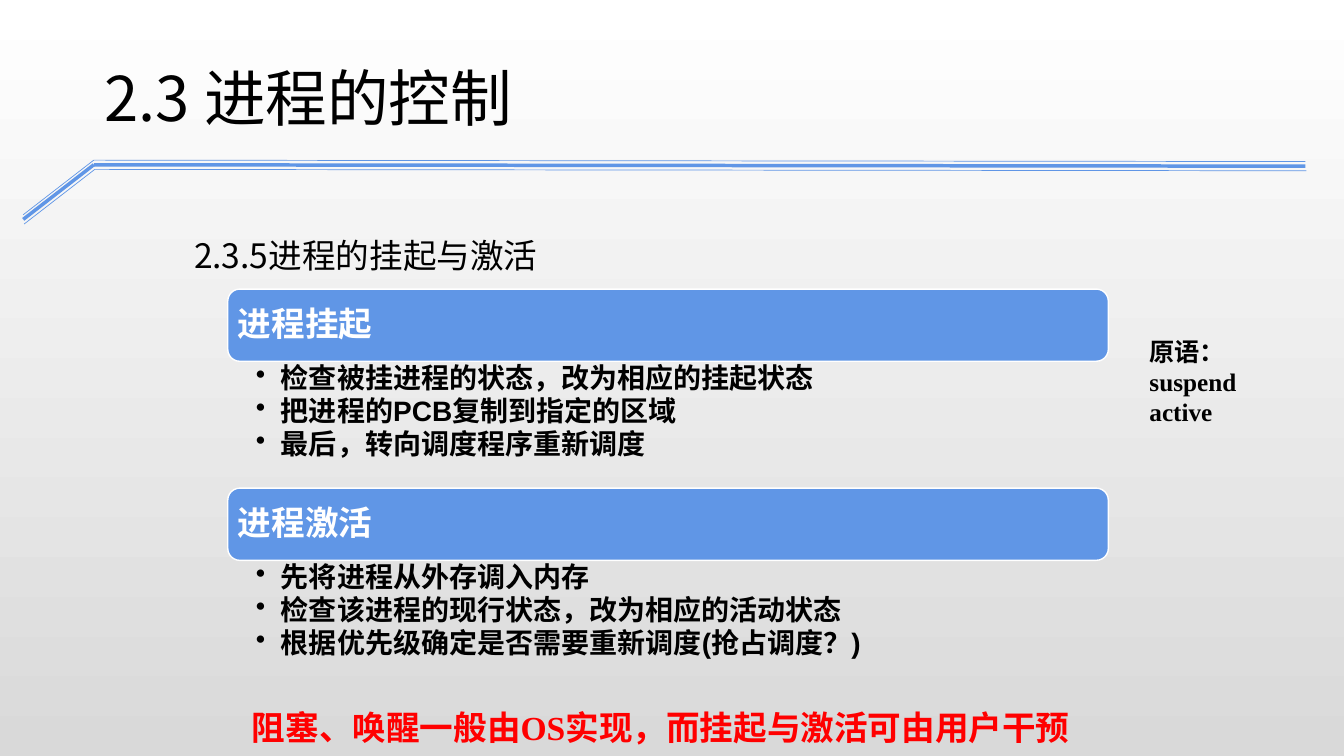
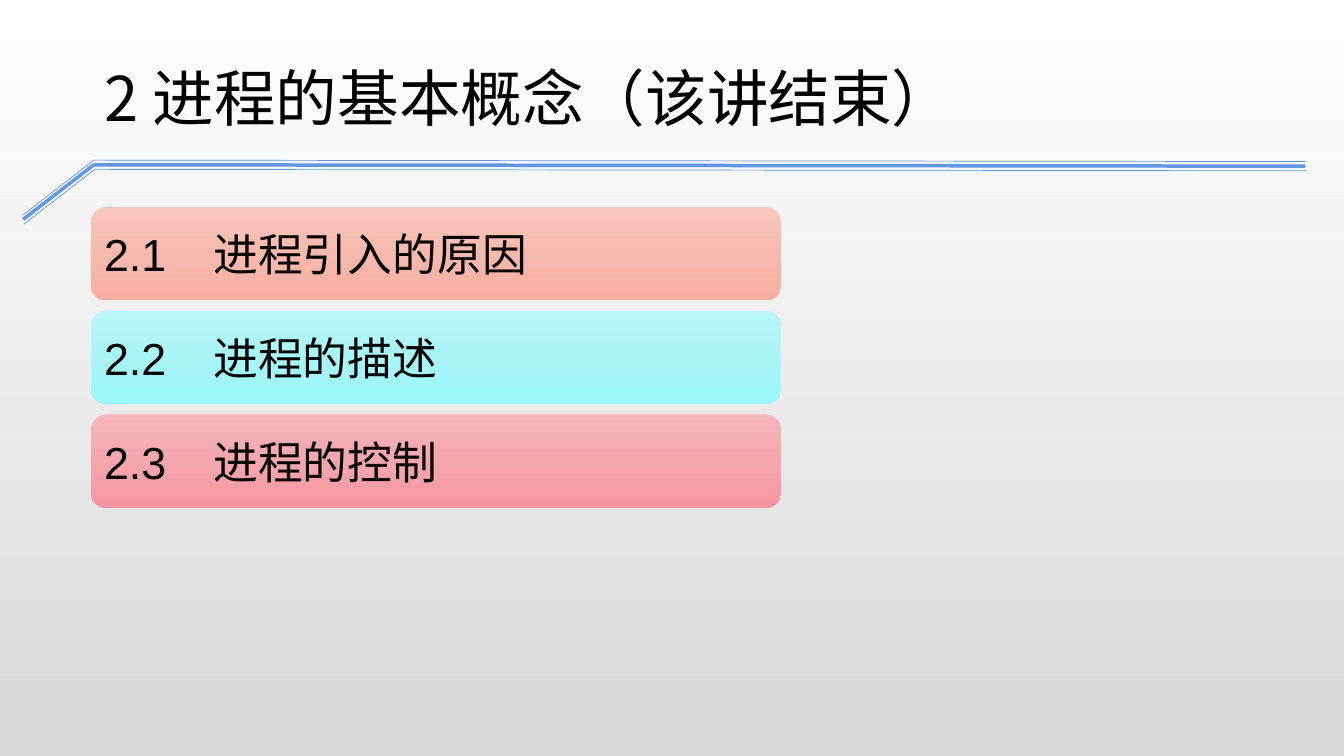
from copy import deepcopy
from dataclasses import dataclass

from lxml.etree import SubElement
from pptx import Presentation
from pptx.dml.color import RGBColor
from pptx.enum.shapes import MSO_CONNECTOR, MSO_SHAPE
from pptx.enum.text import MSO_ANCHOR
from pptx.oxml.ns import qn
from pptx.util import Pt

COLORS = {
    "blue": "6096E6",
    "white": "FFFFFF",
    "gray": "D9D9D9",
    "black": "000000",
    "red": "FF0000",
}
CJK = "Noto Sans CJK JP"
SANS = "Arial"
SERIF = "Times New Roman"


@dataclass
class Rail:
    left: float
    drop: float
    width: float


@dataclass
class Block:
    head: str
    items: list[str]


@dataclass
class Topic:
    label: str
    shades: tuple[str, str, str]


RAILS = [Rail(16.6, 0, 0.5), Rail(16.6, 3.3, 2.5), Rail(17.3, 6.6, 0.5)]
BLOCKS = [
    Block("进程挂起", [
        "检查被挂进程的状态，改为相应的挂起状态",
        "把进程的PCB复制到指定的区域",
        "最后，转向调度程序重新调度",
    ]),
    Block("进程激活", [
        "先将进程从外存调入内存",
        "检查该进程的现行状态，改为相应的活动状态",
        "根据优先级确定是否需要重新调度(抢占调度？)",
    ]),
]
TOPICS = [
    Topic("2.1\t进程引入的原因", ("F9C7BD", "F7B9AE", "F9AEA0")),
    Topic("2.2\t进程的描述", ("B9F7F8", "A9F4F6", "9AF5F8")),
    Topic("2.3\t进程的控制", ("F7B5BC", "F4A6AF", "F696A1")),
]


def paint(name: str) -> RGBColor:
    return RGBColor.from_string(COLORS.get(name, name))


def shade(fill, root, *hues: str) -> None:
    fill.gradient()
    fill.gradient_angle = 270
    stops = root.xpath(".//a:gsLst")[0]
    for _ in hues[2:]:
        stops.append(deepcopy(stops[0]))
    for rank, (stop, hue) in enumerate(zip(fill.gradient_stops, hues)):
        stop.color.rgb = paint(hue)
        stop.position = rank / (len(hues) - 1)


def write(frame, *lines: str, size: float, font: str = SANS, color: str = "black",
          bold: bool = False, space: float | Pt = 1.0, after: float = 0,
          inset: tuple[float, float] = (7.2, 3.6), anchor=MSO_ANCHOR.TOP,
          bullet: float = 0, tab: float = 0) -> None:
    frame.word_wrap = True
    frame.vertical_anchor = anchor
    frame.margin_left = frame.margin_right = Pt(inset[0])
    frame.margin_top = frame.margin_bottom = Pt(inset[1])
    for rank, line in enumerate(lines):
        para = frame.add_paragraph() if rank else frame.paragraphs[0]
        props = para._p.get_or_add_pPr()
        props.set("algn", "l")
        if bullet:
            props.set("marL", str(Pt(bullet)))
            props.set("indent", str(-Pt(bullet)))
            SubElement(props, qn("a:buChar")).set("char", "•")
        if tab:
            stop = SubElement(SubElement(props, qn("a:tabLst")), qn("a:tab"))
            stop.set("pos", str(Pt(tab)))
            stop.set("algn", "l")
        para.line_spacing = space
        para.space_after = Pt(after)
        run = para.add_run()
        run.text = line
        run.font.size = Pt(size)
        run.font.name = font
        run.font.bold = bold
        run.font.color.rgb = paint(color)
        SubElement(run._r.get_or_add_rPr(), qn("a:ea")).set("typeface", CJK)


def add_text(slide, left: float, top: float, width: float, height: float,
             *lines: str, **style) -> None:
    box = slide.shapes.add_textbox(Pt(left), Pt(top), Pt(width), Pt(height))
    write(box.text_frame, *lines, **style)


def add_bar(slide, left: float, top: float, width: float, height: float):
    bar = slide.shapes.add_shape(
        MSO_SHAPE.ROUNDED_RECTANGLE, Pt(left), Pt(top), Pt(width), Pt(height))
    bar.shadow.inherit = False
    return bar


def add_line(slide, start: tuple[float, float], end: tuple[float, float],
             width: float) -> None:
    line = slide.shapes.add_connector(
        MSO_CONNECTOR.STRAIGHT, *map(Pt, start), *map(Pt, end))
    line.line.color.rgb = paint("blue")
    line.line.width = Pt(width)
    SubElement(line._element.spPr, qn("a:effectLst"))


def add_slide(deck, title: str):
    slide = deck.slides.add_slide(deck.slide_layouts[6])
    shade(slide.background.fill, slide._element, "white", "gray")
    for rail in RAILS:
        knee = (rail.left + 50.4, 114.4 + rail.drop)
        add_line(slide, (rail.left, 153.4 + rail.drop), knee, rail.width)
        add_line(slide, knee, (rail.left + 915.8, 115.4 + rail.drop), rail.width)
    add_text(slide, 67.7, 45.4, 685, 60.5, title, size=44, font=CJK, space=0.9)
    return slide


def draw_steps(deck) -> None:
    slide = add_slide(deck, "2.3 进程的控制")
    add_text(slide, 131.5, 147.6, 824, 51, "2.3.5进程的挂起与激活",
             size=24, font=CJK, space=Pt(45.5))
    add_text(slide, 814, 237, 117, 94, "原语：", "suspend", "active",
             size=18, font=SERIF, bold=True, space=Pt(21.5))
    left, width, high = 162.7, 629, 51.6
    for rank, block in enumerate(BLOCKS):
        top = 206.5 + 142.2 * rank
        bar = add_bar(slide, left, top, width, high)
        bar.fill.solid()
        bar.fill.fore_color.rgb = paint("blue")
        bar.line.color.rgb = paint("white")
        bar.line.width = Pt(1)
        write(bar.text_frame, block.head, size=24, color="white", bold=True,
              space=0.9, inset=(4.7, 4.7), anchor=MSO_ANCHOR.MIDDLE)
        add_text(slide, left, top + high, width, 90.6, *block.items, size=20,
                 bold=True, space=0.9, after=2.1, inset=(20, 2), bullet=18)
    add_text(slide, 172.8, 492.5, 624, 42.5,
             "阻塞、唤醒一般由OS实现，而挂起与激活可由用户干预",
             size=24, font=SERIF, color="red", bold=True, space=Pt(38))


def draw_topics(deck) -> None:
    slide = add_slide(deck, "2 进程的基本概念（该讲结束）")
    for rank, topic in enumerate(TOPICS):
        bar = add_bar(slide, 65, 147.8 + 74.1 * rank, 493, 66.8)
        shade(bar.fill, bar._element, *topic.shades)
        bar.line.fill.background()
        write(bar.text_frame, topic.label, size=32, inset=(6.1, 6.1),
              anchor=MSO_ANCHOR.MIDDLE, tab=78)


def main() -> None:
    deck = Presentation()
    deck.slide_width, deck.slide_height = Pt(960), Pt(540)
    draw_steps(deck)
    draw_topics(deck)
    deck.save("out.pptx")


if __name__ == "__main__":
    main()
